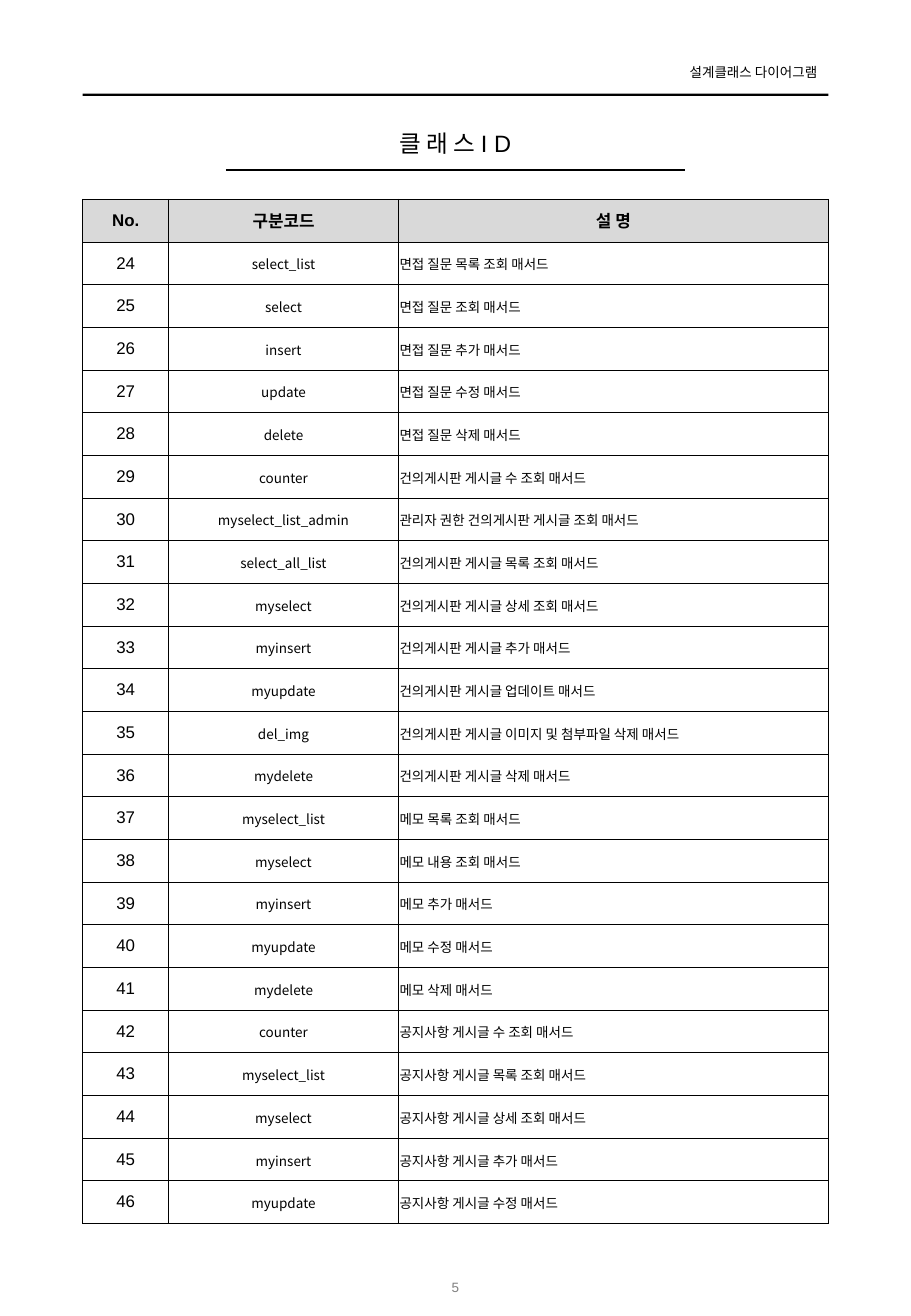
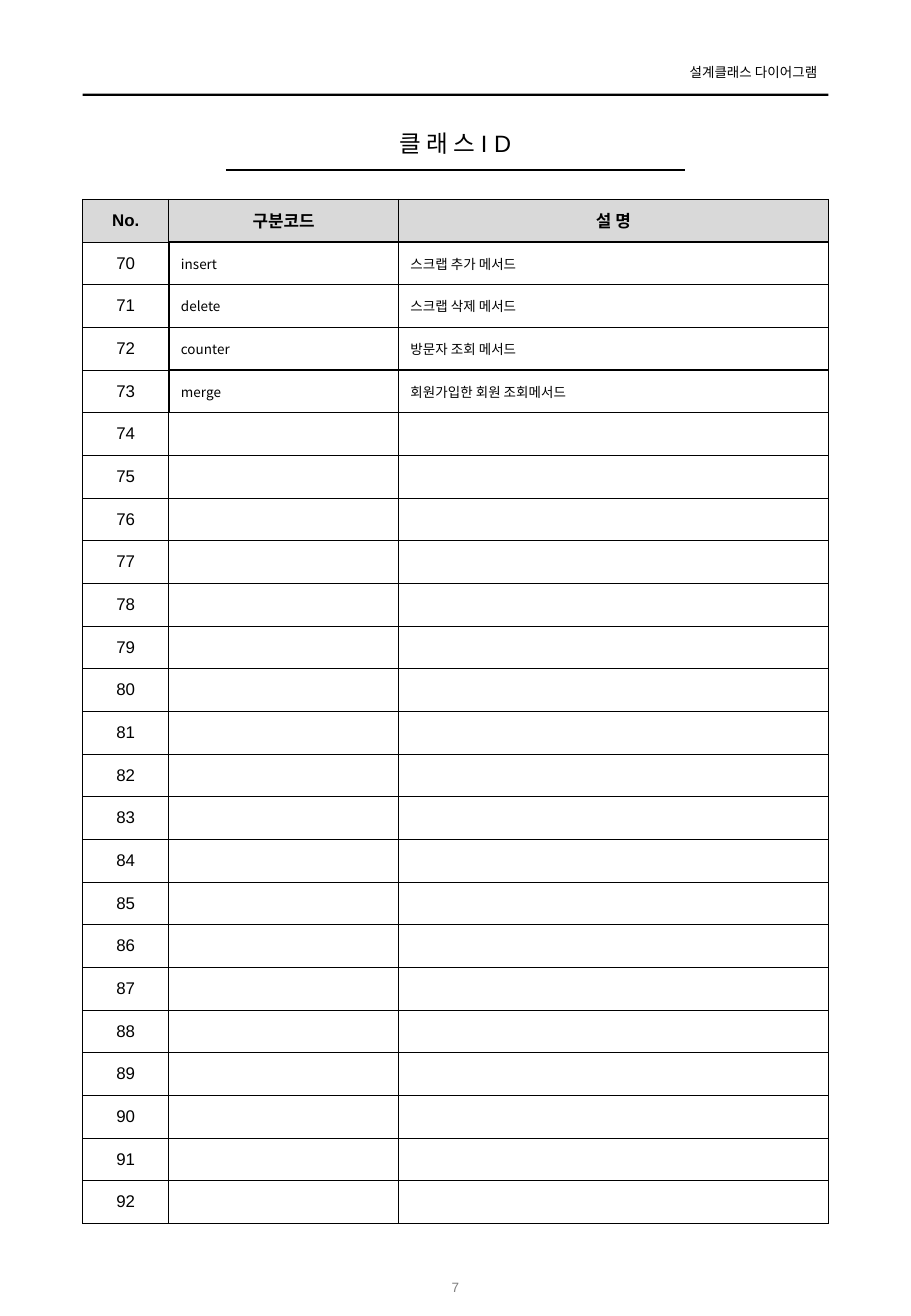
from lxml import etree
from pptx import Presentation
from pptx import util as u
from pptx.dml.color import RGBColor
from pptx.enum import shapes, text
from pptx.oxml.ns import qn

# Content
HEADER = "설계클래스 다이어그램"
TITLE = "클 래 스 I D"
COLUMNS = ["No.", "구분코드", "설 명"]
INTERVIEW_TO_NOTICE = [
    ("select_list", "면접 질문 목록 조회 매서드"),
    ("select", "면접 질문 조회 매서드"),
    ("insert", "면접 질문 추가 매서드"),
    ("update", "면접 질문 수정 매서드"),
    ("delete", "면접 질문 삭제 매서드"),
    ("counter", "건의게시판 게시글 수 조회 매서드"),
    ("myselect_list_admin", "관리자 권한 건의게시판 게시글 조회 매서드"),
    ("select_all_list", "건의게시판 게시글 목록 조회 매서드"),
    ("myselect", "건의게시판 게시글 상세 조회 매서드"),
    ("myinsert", "건의게시판 게시글 추가 매서드"),
    ("myupdate", "건의게시판 게시글 업데이트 매서드"),
    ("del_img", "건의게시판 게시글 이미지 및 첨부파일 삭제 매서드"),
    ("mydelete", "건의게시판 게시글 삭제 매서드"),
    ("myselect_list", "메모 목록 조회 매서드"),
    ("myselect", "메모 내용 조회 매서드"),
    ("myinsert", "메모 추가 매서드"),
    ("myupdate", "메모 수정 매서드"),
    ("mydelete", "메모 삭제 매서드"),
    ("counter", "공지사항 게시글 수 조회 매서드"),
    ("myselect_list", "공지사항 게시글 목록 조회 매서드"),
    ("myselect", "공지사항 게시글 상세 조회 매서드"),
    ("myinsert", "공지사항 게시글 추가 매서드"),
    ("myupdate", "공지사항 게시글 수정 매서드"),
]
SCRAP_AND_VISITOR = [
    ("insert", "스크랩 추가 메서드"),
    ("delete", "스크랩 삭제 메서드"),
    ("counter", "방문자 조회 메서드"),
    ("merge", "회원가입한 회원 조회메서드"),
]
TIGHT, ROOMY = (0.01, 0.01, 0.01, 0), (0.1, 0.05, 0.1, 0.05)
PAGES = [
    dict(number="5", first=24, methods=INTERVIEW_TO_NOTICE, code_align="c", insets=TIGHT, heavy=False),
    dict(number="7", first=70, methods=SCRAP_AND_VISITOR, code_align="l", insets=ROOMY, heavy=True),
]

# Style and grid
COLORS = {"ink": "000000", "head": "D9D9D9", "page": "808080"}
LATIN, KOREAN = "Arial", "Noto Sans CJK KR"
ALIGN = {"l": text.PP_ALIGN.LEFT, "c": text.PP_ALIGN.CENTER, "r": text.PP_ALIGN.RIGHT}
WIDTH, HEIGHT = 7.5, 10.83
LEFT, CONTENT_WIDTH = 0.68, 6.14
TABLE_TOP, TABLE_HEIGHT = 1.64, 8.43
COLUMN_WIDTHS = [0.71, 1.89, 3.54]
BODY_ROWS = 23
THIN, THICK = 0.5, 1


def inches(*lengths):
    return [u.Inches(length) for length in lengths]


def color(name):
    return RGBColor.from_string(COLORS[name])


def write(frame, words, size=8, font=LATIN, ink="ink", bold=False, align="l", insets=ROOMY,
          wrap=True, anchor=text.MSO_ANCHOR.MIDDLE):
    """Put one formatted paragraph into a text frame."""
    frame.margin_left, frame.margin_top, frame.margin_right, frame.margin_bottom = inches(*insets)
    frame.word_wrap = wrap
    frame.vertical_anchor = anchor
    para = frame.paragraphs[0]
    para.alignment = ALIGN[align]
    if not words:
        etree.SubElement(para._p, qn("a:endParaRPr"), sz=str(size * 100))
        return
    span = para.add_run()
    span.text = words
    span.font.size, span.font.name, span.font.bold = u.Pt(size), font, bold
    span.font.color.rgb = color(ink)
    etree.SubElement(span._r.get_or_add_rPr(), qn("a:ea"), typeface=KOREAN)


def set_borders(cell, widths):
    for side, width in zip("LRTB", widths):
        line = etree.SubElement(cell._tc.get_or_add_tcPr(), qn(f"a:ln{side}"), w=str(u.Pt(width)))
        fill = etree.SubElement(line, qn("a:solidFill"))
        etree.SubElement(fill, qn("a:srgbClr"), val=COLORS["ink"])


def furnish_layout(layout, page):
    """Draw the shared header on a page, then move it to the layout."""
    for holder in list(layout.placeholders)[1:]:
        layout.shapes.element.remove(holder.element)
    title = layout.placeholders[0]
    title.left, title.top, title.width, title.height = inches(LEFT, 1.01, CONTENT_WIDTH, 0.32)

    band = page.shapes.add_shape(shapes.MSO_SHAPE.RECTANGLE, *inches(LEFT, 0.77, CONTENT_WIDTH, 0.02))
    band.shadow.inherit = False
    band.fill.solid()
    band.fill.fore_color.rgb = color("ink")
    band.line.fill.background()

    label = page.shapes.add_textbox(*inches(5.47, 0.48, 1.34, 0.24))
    write(label.text_frame, HEADER, align="r", insets=(0.1, 0.05, 0.08, 0.05), wrap=False,
          anchor=text.MSO_ANCHOR.TOP)
    label.text_frame.auto_size = text.MSO_AUTO_SIZE.SHAPE_TO_FIT_TEXT

    rule = page.shapes.add_connector(shapes.MSO_CONNECTOR.STRAIGHT, *inches(1.86, 1.4, 5.64, 1.4))
    rule.line.color.rgb = color("ink")
    rule.line.width = u.Pt(1)
    etree.SubElement(rule.element.spPr, qn("a:effectLst"))

    for part in (band, label, rule):
        layout.shapes.element.append(part.element)


def add_method_table(page, first, methods, code_align, insets, heavy):
    row_count = BODY_ROWS + 1
    table = page.shapes.add_table(row_count, len(COLUMNS),
                                  *inches(LEFT, TABLE_TOP, CONTENT_WIDTH, TABLE_HEIGHT)).table
    table.first_row = table.horz_banding = False
    for column, width in zip(table.columns, COLUMN_WIDTHS):
        column.width = u.Inches(width)
    for row in table.rows:
        row.height = u.Inches(TABLE_HEIGHT / row_count)

    def is_heavy(r, c):
        return heavy and 1 <= r <= len(methods) and c in (1, 2)

    blanks = [("", "")] * (BODY_ROWS - len(methods))
    rows = [COLUMNS] + [(str(first + i), *method) for i, method in enumerate(methods + blanks)]
    for r, row in enumerate(rows):
        for c, words in enumerate(row):
            cell = table.cell(r, c)
            neighbours = [(r, c - 1), (r, c + 1), (r - 1, c), (r + 1, c)]
            set_borders(cell, [THICK if is_heavy(r, c) or is_heavy(*spot) else THIN
                               for spot in neighbours])
            if r == 0:
                cell.fill.solid()
                cell.fill.fore_color.rgb = color("head")
            else:
                cell.fill.background()
            if r == 0 or c == 0:
                look = dict(size=10, bold=r == 0, align="c")
            else:
                look = dict(font=KOREAN, align=code_align if c == 1 else "l", insets=insets)
            # A cell carries its own margins and anchor
            write(cell.text_frame, words, **look)
            cell.vertical_anchor = text.MSO_ANCHOR.MIDDLE
            (cell.margin_left, cell.margin_top,
             cell.margin_right, cell.margin_bottom) = inches(*look.get("insets", ROOMY))


def main():
    deck = Presentation()
    deck.slide_width, deck.slide_height = inches(WIDTH, HEIGHT)
    layout = deck.slide_layouts.get_by_name("Title Only")
    for index, content in enumerate(PAGES):
        page = deck.slides.add_slide(layout)
        if index == 0:
            furnish_layout(layout, page)
        # Title, page number, table
        title = page.shapes.title.text_frame
        write(title, TITLE, size=14, align="c", insets=(0, 0.05, 0, 0.05), anchor=text.MSO_ANCHOR.TOP)
        title.auto_size = text.MSO_AUTO_SIZE.SHAPE_TO_FIT_TEXT
        footer = page.shapes.add_textbox(*inches(3.28, 10.39, 0.94, 0.4))
        write(footer.text_frame, content["number"], ink="page", align="c")
        add_method_table(page, **{key: value for key, value in content.items() if key != "number"})
    deck.save("out.pptx")


if __name__ == "__main__":
    main()
